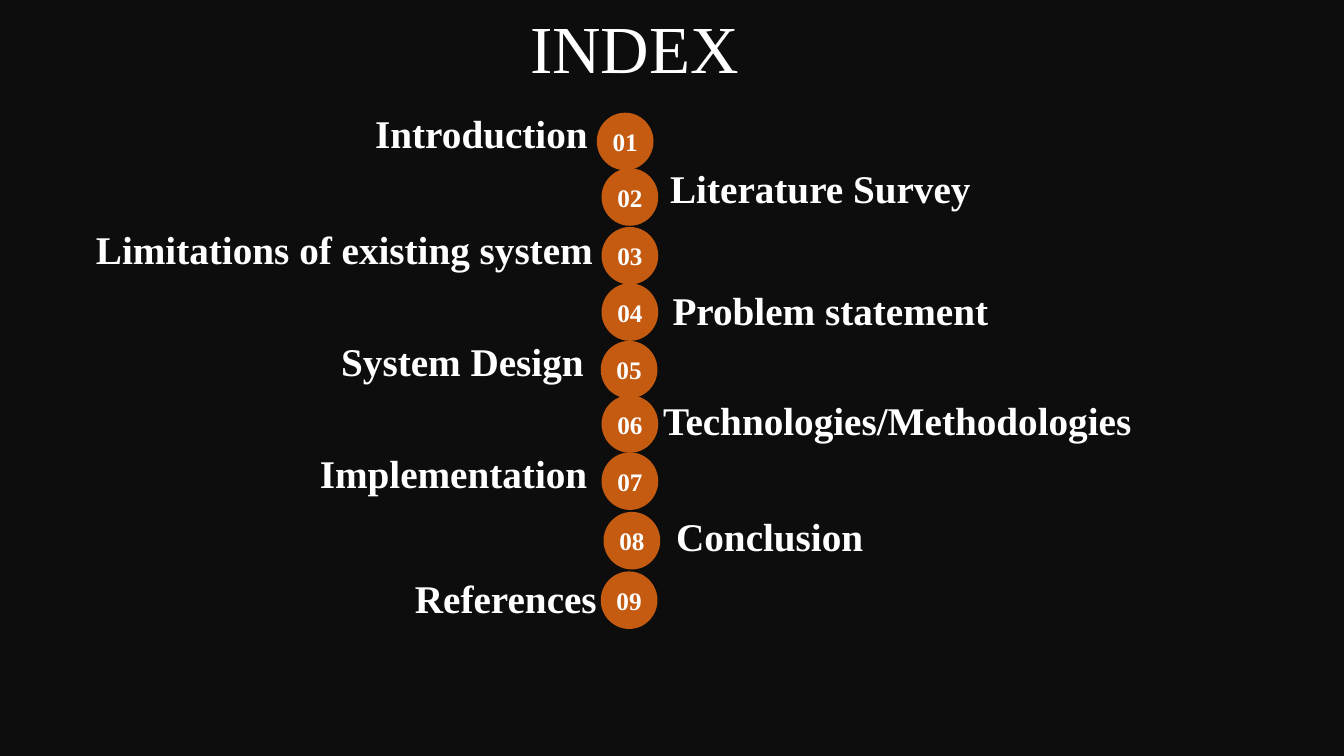
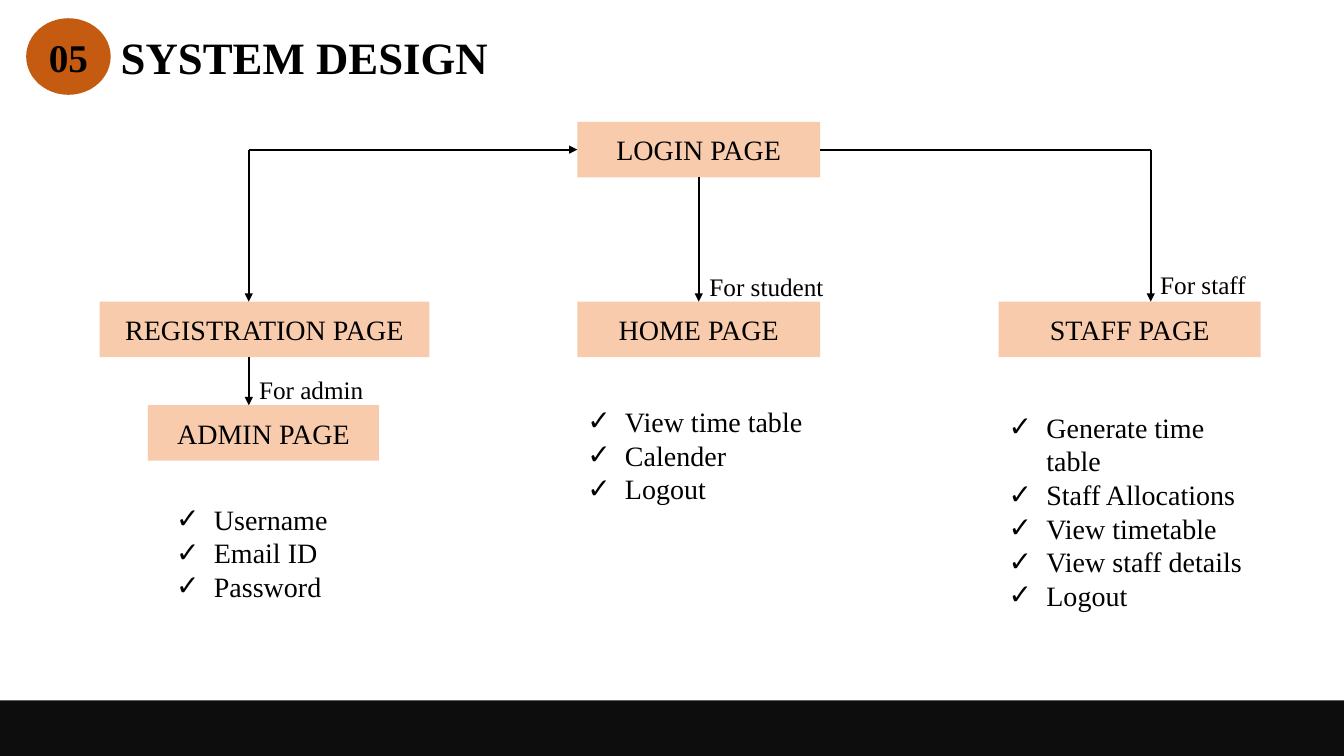
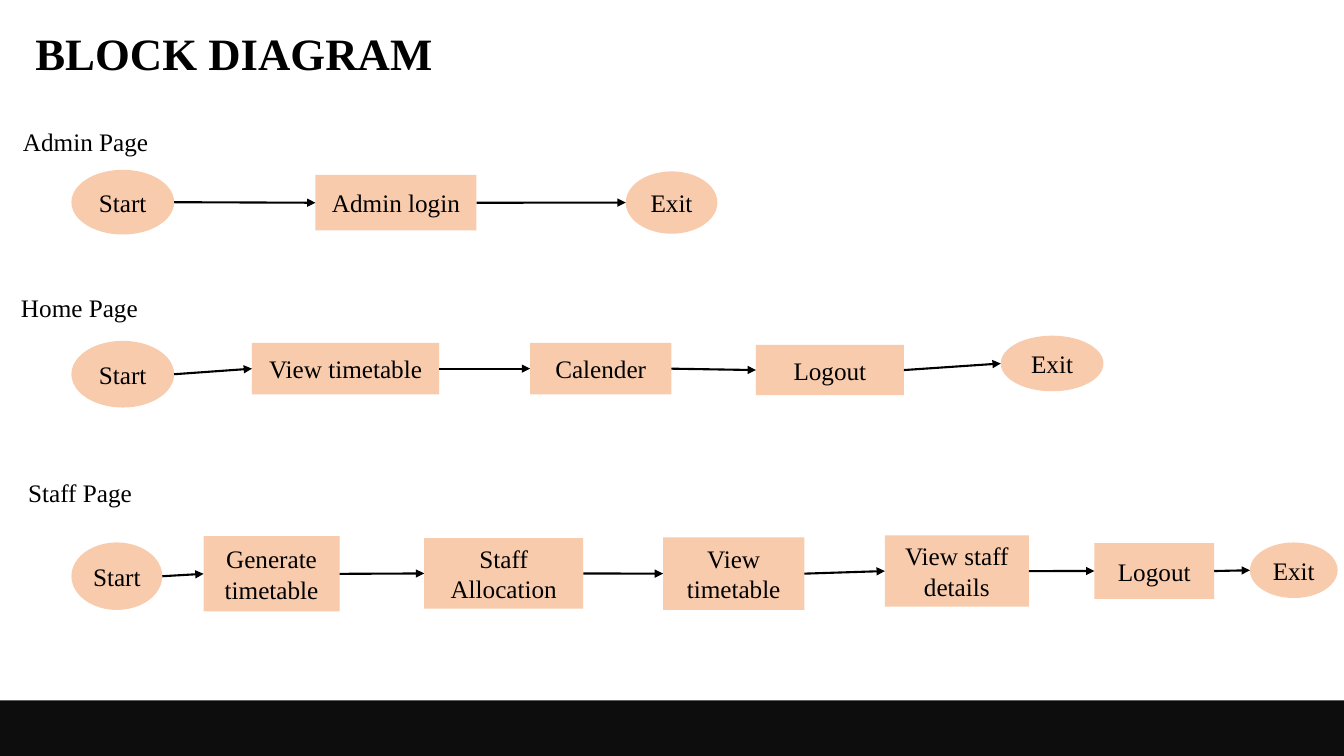
from dataclasses import dataclass
from itertools import pairwise
from typing import Any, NamedTuple

import lxml.etree
import pptx
import pptx.dml.color
import pptx.enum.shapes
import pptx.enum.text
import pptx.oxml.ns
import pptx.util

Cm = pptx.util.Cm
Align = pptx.enum.text.PP_ALIGN
Anchor = pptx.enum.text.MSO_ANCHOR
Preset = pptx.enum.shapes.MSO_SHAPE
qn = pptx.oxml.ns.qn

COLOURS = {
    "black": "000000",
    "white": "FFFFFF",
    "night": "0D0D0D",
    "badge": "C55A11",
    "node": "F8CBAD",
}
FONT = "Times New Roman"
SLIDE_WIDTH, SLIDE_HEIGHT = 33.87, 19.05
BAND_HEIGHT = 1.4
LIST_INDENT = 0.95
TITLE_ONLY, COMPARISON = 5, 4
TOP, LEFT, BOTTOM, RIGHT = range(4)


class Box(NamedTuple):
    """Position and size in centimetres."""
    left: float
    top: float
    width: float
    height: float


class TextStyle(NamedTuple):
    size: float
    colour: str = "black"
    bold: bool = False
    align: Any = Align.LEFT


class Joint(NamedTuple):
    """A connection site on a rectangle."""
    shape: Any
    site: int


End = Joint | tuple[float, float]


@dataclass(frozen=True)
class Node:
    text: str
    box: Box
    preset: Any = Preset.RECTANGLE


@dataclass(frozen=True)
class IndexEntry:
    text: str
    edge: float
    label_top: float
    badge_left: float
    badge_top: float


@dataclass(frozen=True)
class Caption:
    text: str
    left: float
    top: float


@dataclass(frozen=True)
class CheckList:
    items: tuple[str, ...]
    box: Box


@dataclass(frozen=True)
class Flow:
    caption: Caption
    nodes: tuple[Node, ...]


TITLE = TextStyle(32, bold=True)
INDEX_TITLE = TextStyle(48, "white")
NUMBER = TextStyle(18, "white", True, Align.CENTER)
SECTION_NUMBER = TextStyle(28, "black", True, Align.CENTER)
PAGE = TextStyle(20, align=Align.CENTER)
STEP = TextStyle(18, align=Align.CENTER)
CAPTION = TextStyle(18)
ITEM = TextStyle(20)

INDEX = (
    IndexEntry("Introduction", 14.81, 2.62, 15.04, 2.84),
    IndexEntry("Literature Survey", 16.89, 4.01, 15.16, 4.24),
    IndexEntry("Limitations of existing system", 14.94, 5.56, 15.16, 5.72),
    IndexEntry("Problem statement", 16.95, 7.09, 15.16, 7.14),
    IndexEntry("System Design", 14.71, 8.38, 15.14, 8.59),
    IndexEntry("Technologies/Methodologies", 16.71, 9.86, 15.16, 9.96),
    IndexEntry("Implementation", 14.8, 11.2, 15.16, 11.4),
    IndexEntry("Conclusion", 17.04, 12.78, 15.21, 12.9),
    IndexEntry("References", 15.04, 14.35, 15.14, 14.4),
)

LOGIN = Node("LOGIN PAGE", Box(14.55, 3.07, 6.12, 1.4))
HOME = Node("HOME PAGE", Box(14.55, 7.6, 6.12, 1.4))
OTHER_PAGES = (
    Node("REGISTRATION PAGE", Box(2.51, 7.6, 8.31, 1.4)),
    Node("STAFF PAGE", Box(25.17, 7.6, 6.6, 1.4)),
    Node("ADMIN PAGE", Box(3.73, 10.21, 5.82, 1.4)),
)
ROLES = (
    Caption("For student", 17.88, 6.71),
    Caption("For staff", 29.24, 6.65),
    Caption("For admin", 6.53, 9.3),
)
CHECK_LISTS = (
    CheckList(("Username", "Email ID", "Password"), Box(4.19, 12.52, 4.93, 3.58)),
    CheckList(("View time table", "Calender", "Logout"), Box(14.55, 10.06, 6.12, 3.58)),
    CheckList(("Generate time table", "Staff Allocations", "View timetable",
               "View staff details", "Logout"), Box(25.17, 10.21, 6.6, 5.38)),
)

FLOWS = (
    Flow(Caption("Admin Page", 0.58, 3.05), (
        Node("Start", Box(1.8, 4.28, 2.59, 1.63), Preset.OVAL),
        Node("Admin login", Box(7.95, 4.41, 4.06, 1.4)),
        Node("Exit", Box(15.77, 4.32, 2.31, 1.57), Preset.OVAL),
    )),
    Flow(Caption("Home Page", 0.53, 7.24), (
        Node("Start", Box(1.8, 8.59, 2.59, 1.68), Preset.OVAL),
        Node("View timetable", Box(6.35, 8.64, 4.72, 1.3)),
        Node("Calender", Box(13.36, 8.64, 3.56, 1.3)),
        Node("Logout", Box(19.05, 8.69, 3.73, 1.27)),
        Node("Exit", Box(25.22, 8.46, 2.59, 1.4), Preset.OVAL),
    )),
    Flow(Caption("Staff Page", 0.71, 11.91), (
        Node("Start", Box(1.8, 13.67, 2.29, 1.7), Preset.OVAL),
        Node("Generate timetable", Box(5.13, 13.51, 3.43, 1.9)),
        Node("Staff Allocation", Box(10.69, 13.56, 4.01, 1.78)),
        Node("View timetable", Box(16.71, 13.54, 3.56, 1.83)),
        Node("View staff details", Box(22.3, 13.49, 3.63, 1.8)),
        Node("Logout", Box(27.58, 13.69, 3.02, 1.4)),
        Node("Exit", Box(31.5, 13.67, 2.21, 1.4), Preset.OVAL),
    )),
)


def rgb(colour: str) -> pptx.dml.color.RGBColor:
    return pptx.dml.color.RGBColor.from_string(COLOURS[colour])


def set_all(target: Any, values: dict[str, Any]) -> None:
    for attribute, value in values.items():
        setattr(target, attribute, value)


def place(shape: Any, box: Box) -> None:
    set_all(shape, {side: Cm(length) for side, length in box._asdict().items()})


def write(frame: Any, lines: tuple[str, ...], style: TextStyle, anchor: Any,
          side_inset: float = 0.25, end_inset: float = 0.13) -> None:
    set_all(frame, {
        "word_wrap": True,
        "auto_size": pptx.enum.text.MSO_AUTO_SIZE.NONE,
        "vertical_anchor": anchor,
        "margin_left": Cm(side_inset),
        "margin_right": Cm(side_inset),
        "margin_top": Cm(end_inset),
        "margin_bottom": Cm(end_inset),
    })
    for number, line in enumerate(lines):
        paragraph = frame.add_paragraph() if number else frame.paragraphs[0]
        set_all(paragraph, {"alignment": style.align, "space_before": pptx.util.Pt(0)})
        run = paragraph.add_run()
        run.text = line
        set_all(run.font, {"name": FONT, "size": pptx.util.Pt(style.size),
                           "bold": style.bold})
        run.font.color.rgb = rgb(style.colour)


def add_title(slide: Any, text: str, box: Box, style: TextStyle = TITLE) -> None:
    place(slide.shapes.title, box)
    write(slide.shapes.title.text_frame, (text,), style, Anchor.TOP)


def add_filled(slide: Any, preset: Any, box: Box, colour: str) -> Any:
    shape = slide.shapes.add_shape(preset, *map(Cm, box))
    shape.shadow.inherit = False
    shape.fill.solid()
    shape.fill.fore_color.rgb = rgb(colour)
    shape.line.fill.background()
    return shape


def add_node(slide: Any, node: Node, style: TextStyle, colour: str = "node") -> Any:
    shape = add_filled(slide, node.preset, node.box, colour)
    write(shape.text_frame, (node.text,), style, Anchor.MIDDLE, 0, 0)
    return shape


def add_label(slide: Any, text: str, box: Box, style: TextStyle) -> None:
    label = slide.shapes.add_textbox(*map(Cm, box))
    write(label.text_frame, (text,), style, Anchor.TOP, side_inset=0)


def add_caption(slide: Any, caption: Caption) -> None:
    add_label(slide, caption.text, Box(caption.left, caption.top, 4, 1.02), CAPTION)


def add_band(slide: Any) -> None:
    add_filled(slide, Preset.RECTANGLE,
               Box(0, SLIDE_HEIGHT - BAND_HEIGHT, SLIDE_WIDTH, BAND_HEIGHT), "night")


def fill_check_list(placeholder: Any, check_list: CheckList) -> None:
    place(placeholder, check_list.box)
    write(placeholder.text_frame, check_list.items, ITEM, Anchor.TOP)
    for paragraph in placeholder.text_frame.paragraphs:
        properties = paragraph._p.get_or_add_pPr()
        properties.set("marL", str(Cm(LIST_INDENT)))
        properties.set("indent", str(-Cm(LIST_INDENT)))
        lxml.etree.SubElement(properties, qn("a:buChar")).set("char", "✓")


def add_line(slide: Any, start: End, end: End, arrow: bool = True) -> None:
    start_at, end_at = ((0, 0) if isinstance(stop, Joint) else stop
                        for stop in (start, end))
    connector = slide.shapes.add_connector(
        pptx.enum.shapes.MSO_CONNECTOR.STRAIGHT, *map(Cm, (*start_at, *end_at)))
    if isinstance(start, Joint):
        connector.begin_connect(start.shape, start.site)
    if isinstance(end, Joint):
        connector.end_connect(end.shape, end.site)
    connector.line.color.rgb = rgb("black")
    connector.line.width = pptx.util.Pt(1.5)
    properties = connector.element.spPr
    if arrow:
        outline = properties.find(qn("a:ln"))
        lxml.etree.SubElement(outline, qn("a:tailEnd")).set("type", "triangle")
    lxml.etree.SubElement(properties, qn("a:effectLst"))


def side_end(node: Node, shape: Any, site: int) -> End:
    """Join rectangles; give the side point of an oval."""
    if node.preset == Preset.RECTANGLE:
        return Joint(shape, site)
    box = node.box
    return (box.left + (box.width if site == RIGHT else 0), box.top + box.height / 2)


def build_index(deck: Any) -> None:
    slide = deck.slides.add_slide(deck.slide_layouts[TITLE_ONLY])
    slide.background.fill.solid()
    slide.background.fill.fore_color.rgb = rgb("night")
    add_title(slide, "INDEX", Box(13.11, 0.03, 8.23, 2.31), INDEX_TITLE)
    label_width = 13
    for number, entry in enumerate(INDEX, 1):
        badge = Box(entry.badge_left, entry.badge_top, 1.43, 1.45)
        add_node(slide, Node(f"{number:02}", badge, Preset.OVAL), NUMBER, "badge")
        on_left = number % 2 == 1
        left = entry.edge - label_width if on_left else entry.edge
        add_label(slide, entry.text, Box(left, entry.label_top, label_width, 1.45),
                  TextStyle(28, "white", True, Align.RIGHT if on_left else Align.LEFT))


def build_system_design(deck: Any) -> None:
    slide = deck.slides.add_slide(deck.slide_layouts[COMPARISON])
    add_band(slide)
    add_title(slide, "SYSTEM DESIGN", Box(2.79, 0.61, 14, 1.63))
    add_node(slide, Node("05", Box(0.66, 0.46, 2.13, 1.93), Preset.OVAL),
             SECTION_NUMBER, "badge")

    bodies = list(slide.placeholders)[1:]
    for body, check_list in zip(bodies, CHECK_LISTS):
        fill_check_list(body, check_list)
    for spare in bodies[len(CHECK_LISTS):]:
        spare.element.getparent().remove(spare.element)

    login, home = (add_node(slide, page, PAGE) for page in (LOGIN, HOME))
    for page in OTHER_PAGES:
        add_node(slide, page, PAGE)
    for role in ROLES:
        add_caption(slide, role)

    branch_y = LOGIN.box.top + LOGIN.box.height / 2
    admin_x, staff_x, pages_y = 6.27, 29.0, HOME.box.top
    add_line(slide, Joint(login, BOTTOM), Joint(home, TOP))
    add_line(slide, (admin_x, branch_y), Joint(login, LEFT))
    add_line(slide, Joint(login, RIGHT), (staff_x, branch_y), arrow=False)
    add_line(slide, (admin_x, branch_y), (admin_x, pages_y))
    add_line(slide, (staff_x, branch_y), (staff_x, pages_y))
    add_line(slide, (admin_x, pages_y + HOME.box.height), (admin_x, 10.21))


def build_block_diagram(deck: Any) -> None:
    slide = deck.slides.add_slide(deck.slide_layouts[TITLE_ONLY])
    add_band(slide)
    add_title(slide, "BLOCK DIAGRAM", Box(0.64, 0.51, 12.45, 1.63))
    for flow in FLOWS:
        add_caption(slide, flow.caption)
        steps = [(node, add_node(slide, node, STEP)) for node in flow.nodes]
        for before, after in pairwise(steps):
            add_line(slide, side_end(*before, RIGHT), side_end(*after, LEFT))


def main() -> None:
    deck = pptx.Presentation()
    set_all(deck, {"slide_width": Cm(SLIDE_WIDTH), "slide_height": Cm(SLIDE_HEIGHT)})
    build_index(deck)
    build_system_design(deck)
    build_block_diagram(deck)
    deck.save("out.pptx")


if __name__ == "__main__":
    main()
